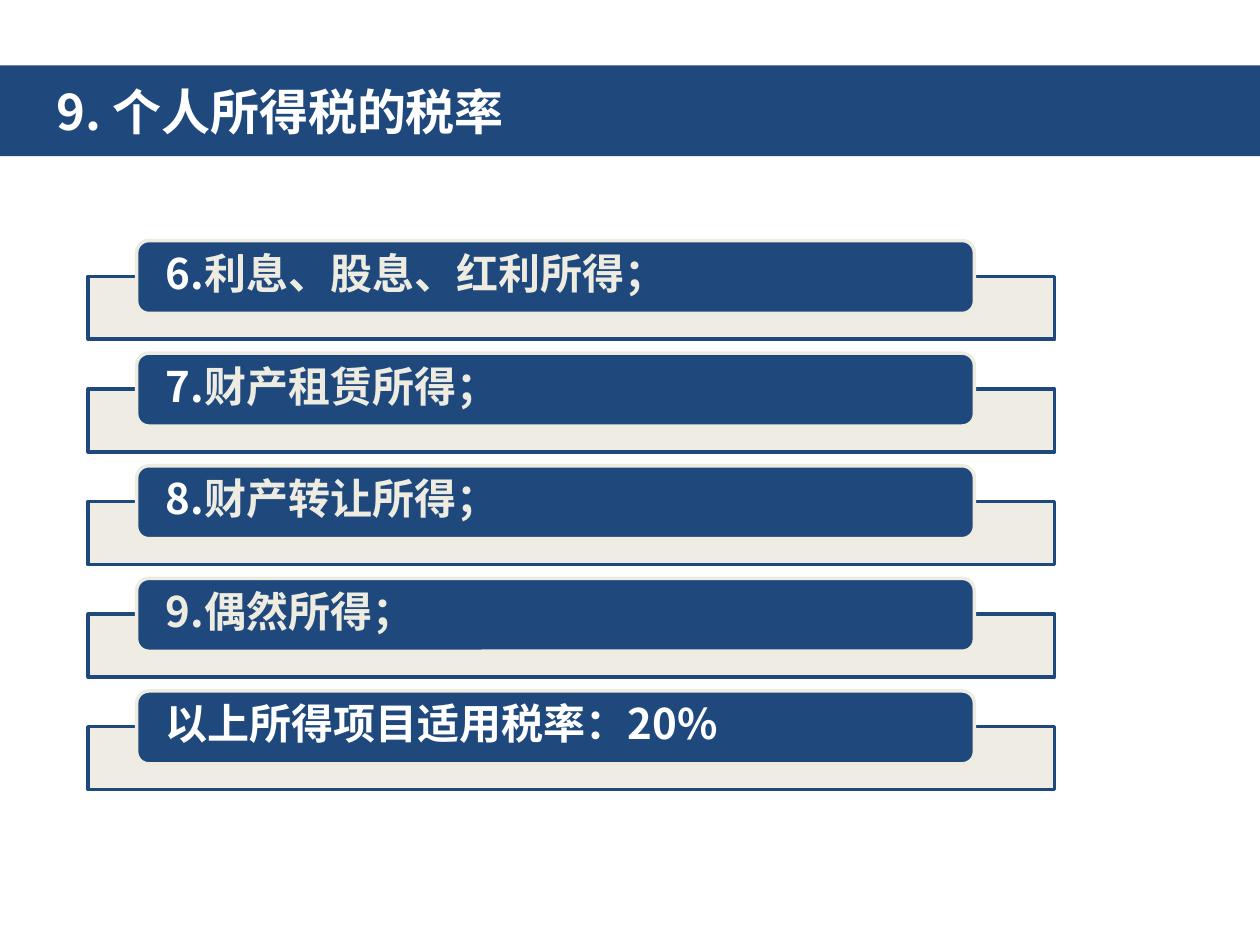
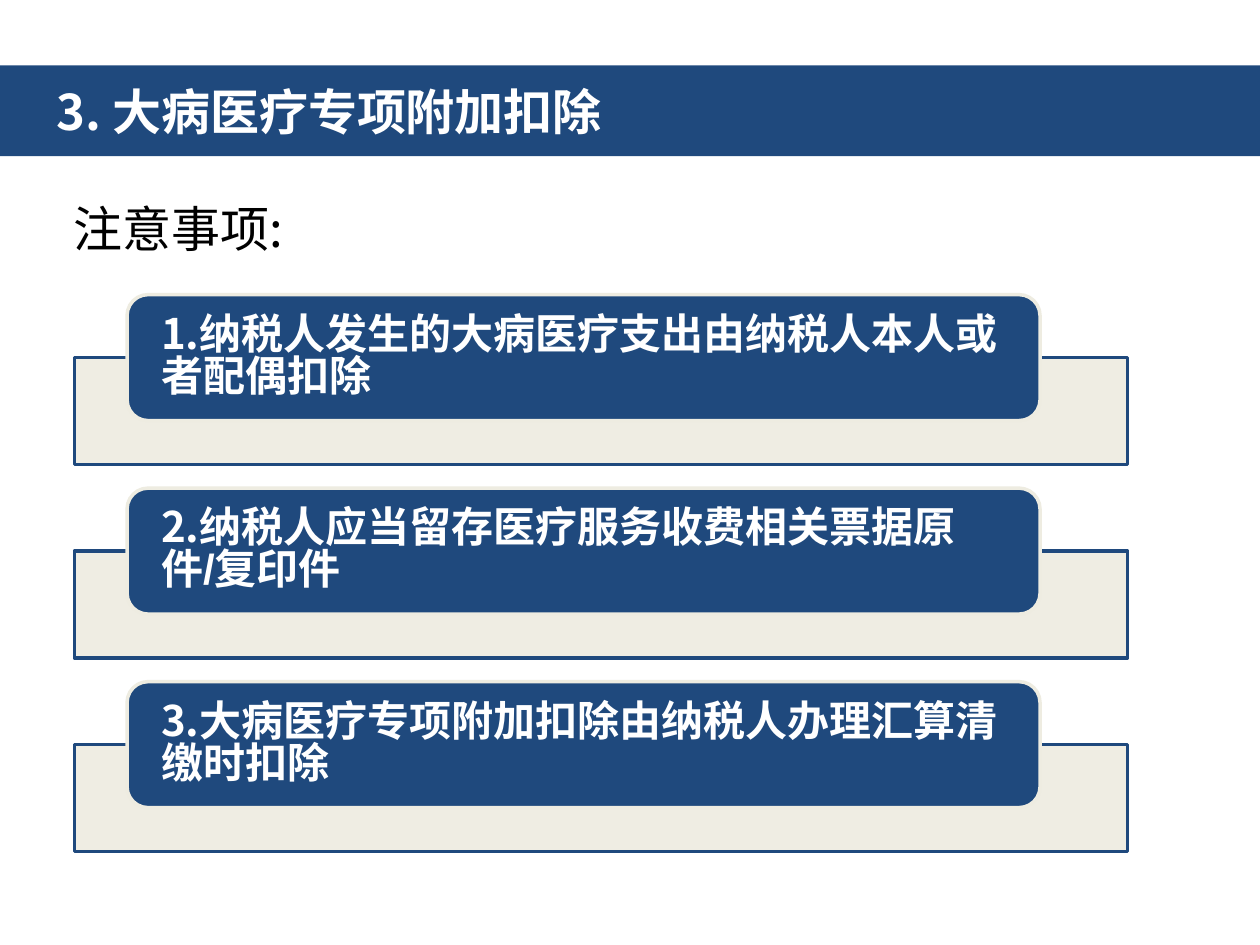
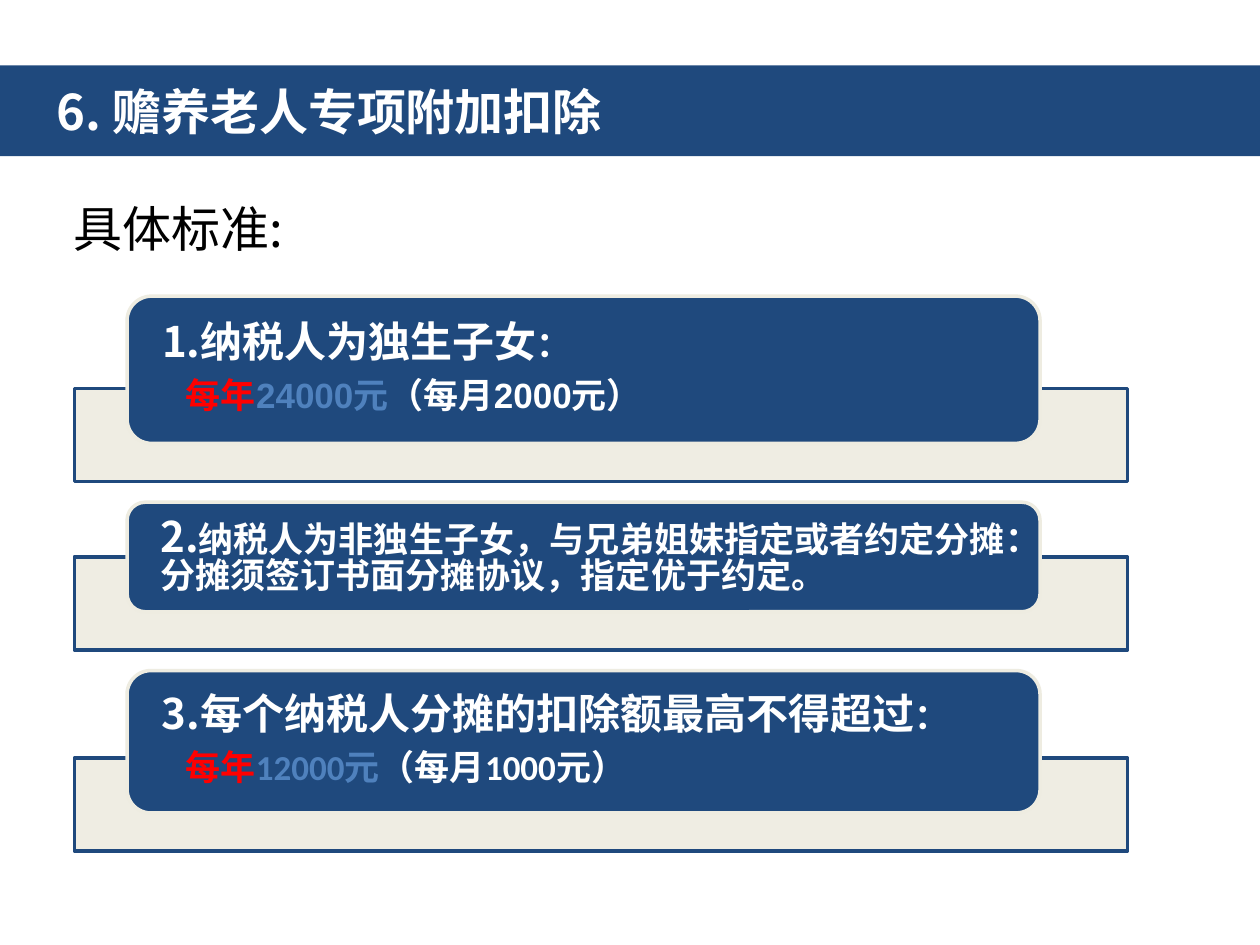
from collections import namedtuple

from lxml import etree
from pptx import Presentation
from pptx.dml.color import RGBColor
from pptx.enum import shapes, text
from pptx.oxml.ns import qn
from pptx.util import Cm, Pt

NAVY = RGBColor(0x1F, 0x49, 0x7D)
CREAM = RGBColor(0xEE, 0xEC, 0xE1)
WHITE = RGBColor(0xFF, 0xFF, 0xFF)
BLACK = RGBColor(0, 0, 0)
RED = RGBColor(0xFF, 0, 0)
BLUE = RGBColor(0x4F, 0x81, 0xBD)
CJK = "Noto Sans CJK SC"

# Shelf proportions, as parts of its width or height
CARD_OFFSET, CARD_WIDTH, CARD_INSET = 0.05, 0.867, 0.0265
OVERHANG, GAP = 0.41, 0.22

Span = namedtuple("Span", "words color size font", defaults=(WHITE, 24, CJK))
Line = namedtuple("Line", "spans indent", defaults=(0,))
Card = namedtuple("Card", "height lines")


def add_span(para, span, bold=True):
    run = para.add_run()
    run.text = span.words
    font = run.font
    font.name, font.size, font.bold = span.font, Pt(span.size), bold
    font.color.rgb = span.color
    east_asian = etree.SubElement(font._element, qn("a:ea"))
    east_asian.set("typeface", CJK)


def set_insets(frame, left, top, right, bottom):
    frame.margin_left, frame.margin_top = left, top
    frame.margin_right, frame.margin_bottom = right, bottom
    frame.word_wrap = True
    frame.auto_size = text.MSO_AUTO_SIZE.NONE


def add_box(page, kind, left, top, width, height, fill, line):
    box = page.shapes.add_shape(kind, left, top, width, height)
    box.shadow.inherit = False
    box.fill.solid()
    box.fill.fore_color.rgb = fill
    box.line.color.rgb = line
    box.line.width = Pt(2)
    return box


def add_title_page(deck, words):
    """Add a slide whose title is a full-width band."""
    page = deck.slides.add_slide(deck.slide_layouts[5])
    band = page.shapes.title
    band.left, band.top = 0, Cm(1.32)
    band.width, band.height = deck.slide_width, Cm(1.83)
    band.fill.solid()
    band.fill.fore_color.rgb = NAVY
    frame = band.text_frame
    set_insets(frame, Cm(1.14), Cm(0.13), Cm(0.25), Cm(0.13))
    frame.vertical_anchor = text.MSO_ANCHOR.MIDDLE
    para = frame.paragraphs[0]
    para.alignment = text.PP_ALIGN.LEFT
    add_span(para, Span(words, size=28))
    return page


def add_heading(page, words):
    box = page.shapes.add_textbox(Cm(1.24), Cm(3.88), Cm(5.2), Cm(1.8))
    set_insets(box.text_frame, Cm(0.25), Cm(0.13), Cm(0.25), Cm(0.13))
    add_span(box.text_frame.paragraphs[0], Span(words, BLACK, 28), bold=False)


def fill_card(box, lines, inset):
    frame = box.text_frame
    set_insets(frame, inset, 0, inset, 0)
    frame.vertical_anchor = text.MSO_ANCHOR.MIDDLE
    for index, line in enumerate(lines):
        para = frame.add_paragraph() if index else frame.paragraphs[0]
        para.alignment = text.PP_ALIGN.LEFT
        para.line_spacing = 0.83
        if index < len(lines) - 1:
            para.space_after = Pt(8.4)
        if line.indent:
            para._p.get_or_add_pPr().set("marL", str(Cm(line.indent)))
        for span in line.spans:
            add_span(para, span)


def add_card_list(page, left, top, width, shelf_height, cards):
    """Stack cards, each overlapping the shelf behind it."""
    for card in cards:
        height = Cm(card.height)
        shelf_top = top + height + int((OVERHANG - 1) * shelf_height)
        shelf = add_box(page, shapes.MSO_SHAPE.RECTANGLE, left, shelf_top,
                        width, shelf_height, CREAM, NAVY)
        color = shelf.fill._xPr.find(".//" + qn("a:srgbClr"))
        etree.SubElement(color, qn("a:alpha")).set("val", "90000")
        box = add_box(page, shapes.MSO_SHAPE.ROUNDED_RECTANGLE,
                      left + int(CARD_OFFSET * width), top,
                      int(CARD_WIDTH * width), height, NAVY, CREAM)
        fill_card(box, card.lines, int(CARD_INSET * width))
        top += height + int((OVERHANG + GAP) * shelf_height)


def build_rates(deck):
    page = add_title_page(deck, "9. 个人所得税的税率")
    incomes = [("6.", "利息、股息、红利所得；", WHITE),
               ("7.", "财产租赁所得；", WHITE),
               ("8.", "财产转让所得；", WHITE),
               ("9.", "偶然所得；", CREAM)]
    rows = [[Span(number, color), Span(income, CREAM, font="Calibri")]
            for number, income, color in incomes]
    rows.append([Span("以上所得项目适用税率：20%")])
    cards = [Card(1.47, [Line(row)]) for row in rows]
    add_card_list(page, Cm(1.78), Cm(4.85), Cm(19.48), Cm(1.27), cards)


def build_medical(deck):
    page = add_title_page(deck, "3. 大病医疗专项附加扣除")
    add_heading(page, "注意事项:")
    notes = ["纳税人发生的大病医疗支出由纳税人本人或者配偶扣除",
             "纳税人应当留存医疗服务收费相关票据原件/复印件",
             "大病医疗专项附加扣除由纳税人办理汇算清缴时扣除"]
    cards = [Card(2.54, [Line([Span(f"{number}."), Span(note, font="Arial")])])
             for number, note in enumerate(notes, 1)]
    add_card_list(page, Cm(1.5), Cm(5.94), Cm(21.23), Cm(2.16), cards)


def limit_lines(condition, yearly, monthly, font):
    """Return a condition and, below it, the yearly and monthly amounts."""
    return [Line([Span(condition), Span("：", size=20, font=font)]),
            Line([Span("每年", RED, 20, font),
                  Span(yearly, BLUE, 20, font),
                  Span(monthly, WHITE, 20, font)], indent=0.48)]


def build_elderly(deck):
    page = add_title_page(deck, "6. 赡养老人专项附加扣除")
    add_heading(page, "具体标准:")
    sharing = Line([Span("2."),
                    Span("纳税人为非独生子女，与兄弟姐妹指定或者约定分摊", size=20),
                    Span("：", size=20, font="Arial"),
                    Span("分摊须签订书面分摊协议，指定优于约定。", size=20)])
    cards = [Card(2.97, limit_lines("1.纳税人为独生子女", "24000元",
                                    "（每月2000元）", "Arial")),
             Card(2.21, [sharing]),
             Card(2.87, limit_lines("3.每个纳税人分摊的扣除额最高不得超过",
                                    "12000元", "（每月1000元）", "Calibri"))]
    add_card_list(page, Cm(1.5), Cm(5.97), Cm(21.23), Cm(1.88), cards)


def main():
    deck = Presentation()
    deck.slide_width, deck.slide_height = Cm(25.4), Cm(19.05)
    build_rates(deck)
    build_medical(deck)
    build_elderly(deck)
    deck.save("out.pptx")


if __name__ == "__main__":
    main()
